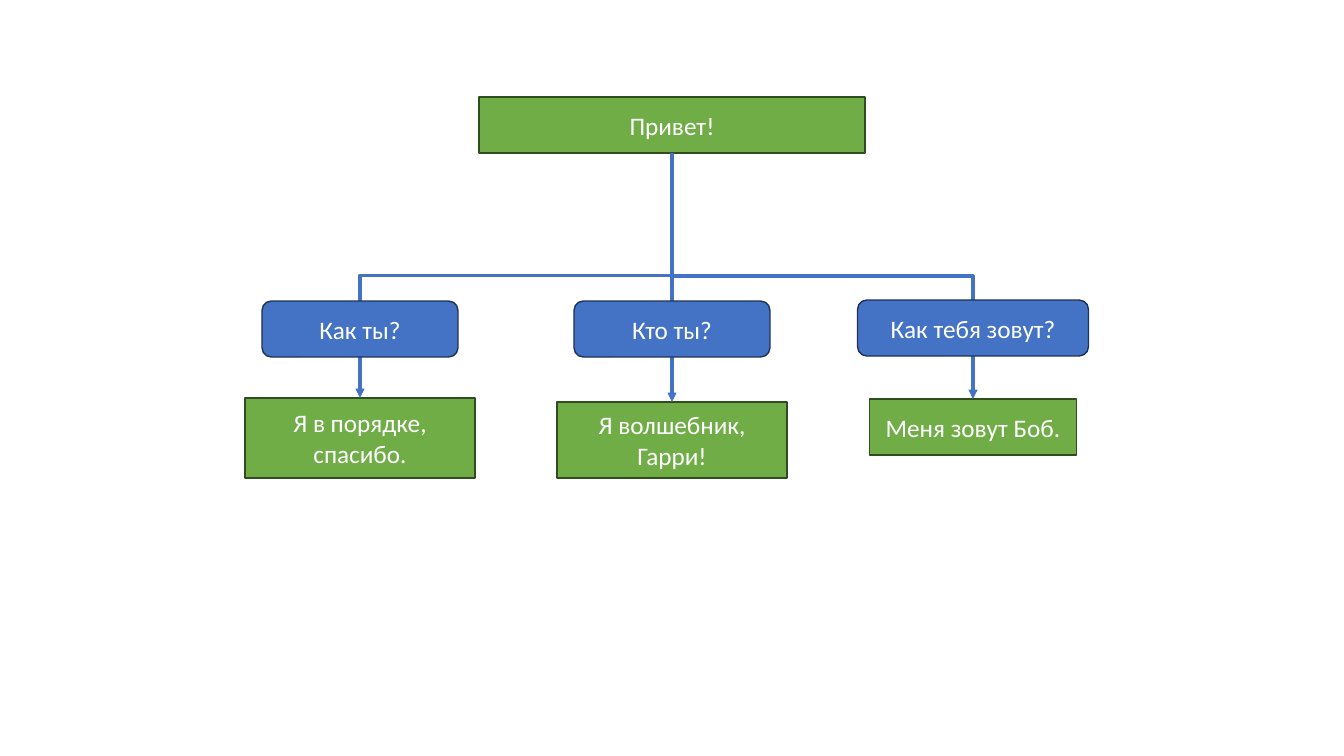
from dataclasses import dataclass

from lxml.etree import SubElement
from pptx import Presentation
from pptx.dml.color import RGBColor
from pptx.enum.shapes import MSO_CONNECTOR, MSO_SHAPE
from pptx.enum.text import MSO_ANCHOR, PP_ALIGN
from pptx.oxml.ns import qn
from pptx.shapes.autoshape import Shape
from pptx.util import Pt

SCALE = 914400 / 100.8
GREEN, BLUE = "70AD47", "4472C4"
EDGES = {GREEN: "314C1F", BLUE: "1E3256"}
FORMS = {GREEN: MSO_SHAPE.RECTANGLE, BLUE: MSO_SHAPE.ROUNDED_RECTANGLE}
FONT = {"name": "Calibri", "size": Pt(18)}
TOP, BOTTOM = 0, 2  # connection sites of a box


@dataclass
class Box:
    """A text box of the tree, placed by its centre line."""
    mid: int
    top: int
    wide: int
    high: int
    text: str
    fill: str


@dataclass
class Branch:
    """A question and the answer below it."""
    ask: Box
    reply: Box


def px(n: float) -> int:
    """Turn pixels into EMU."""
    return round(n * SCALE)


def paint(part, color: str) -> None:
    """Give a fill or line format a solid colour."""
    fill = getattr(part, "fill", part)
    fill.solid()
    fill.fore_color.rgb = RGBColor.from_string(color)


def draw(box: Box) -> Shape:
    """Draw one box with its text."""
    shape = slide.shapes.add_shape(
        FORMS[box.fill], px(box.mid - box.wide / 2), px(box.top),
        px(box.wide), px(box.high))
    shape.shadow.inherit = False
    paint(shape.fill, box.fill)
    paint(shape.line, EDGES[box.fill])
    shape.line.width = Pt(1)
    frame = shape.text_frame
    frame.word_wrap = True
    frame.vertical_anchor = MSO_ANCHOR.MIDDLE
    para = frame.paragraphs[0]
    para.alignment = PP_ALIGN.CENTER
    run = para.add_run()
    run.text = box.text
    for key, value in FONT.items():
        setattr(run.font, key, value)
    paint(run.font, "FFFFFF")
    return shape


def join(start: Box, first: Shape, end: Box, last: Shape) -> None:
    """Link two boxes with an arrow that leaves downwards."""
    low = start.top + start.high
    drop, shift = end.top - low, end.mid - start.mid
    kind = MSO_CONNECTOR.ELBOW if shift else MSO_CONNECTOR.STRAIGHT
    link = slide.shapes.add_connector(
        kind, px(start.mid), px(low), px(end.mid), px(end.top))
    link.begin_connect(first, BOTTOM)
    link.end_connect(last, TOP)
    prop = link._element.spPr
    if shift:
        # An elbow starts sideways, so turn it by a quarter about its centre.
        wide = abs(shift)
        place = {"left": (start.mid + end.mid - drop) / 2,
                 "top": low + (drop - wide) / 2,
                 "width": drop, "height": wide}
        for key, value in place.items():
            setattr(link, key, px(value))
        right = shift > 0
        form = prop.find(qn("a:xfrm"))
        form.set("rot", str((270 if right else 90) * 60000))
        form.set("flipH", str(int(right)))
    paint(link.line, BLUE)
    link.line.width = Pt(2.25)
    SubElement(prop.find(qn("a:ln")), qn("a:tailEnd"), type="triangle")
    SubElement(prop, qn("a:effectLst"))


ROOT = Box(672, 97, 386, 56, "Привет!", GREEN)
TREE = [
    Branch(Box(360, 301, 196, 56, "Как ты?", BLUE),
           Box(360, 398, 230, 80, "Я в порядке, спасибо.", GREEN)),
    Branch(Box(672, 301, 196, 56, "Кто ты?", BLUE),
           Box(672, 402, 230, 76, "Я волшебник, Гарри!", GREEN)),
    Branch(Box(973, 300, 231, 56, "Как тебя зовут?", BLUE),
           Box(973, 399, 207, 56, "Меня зовут Боб.", GREEN)),
]

deck = Presentation()
deck.slide_width, deck.slide_height = px(1344), px(756)
slide = deck.slides.add_slide(deck.slide_layouts[6])

root = draw(ROOT)
ends = [draw(branch.reply) for branch in TREE]
for branch, last in zip(TREE, ends):
    join(ROOT, root, branch.reply, last)
for branch in TREE:
    draw(branch.ask)

deck.save("out.pptx")
